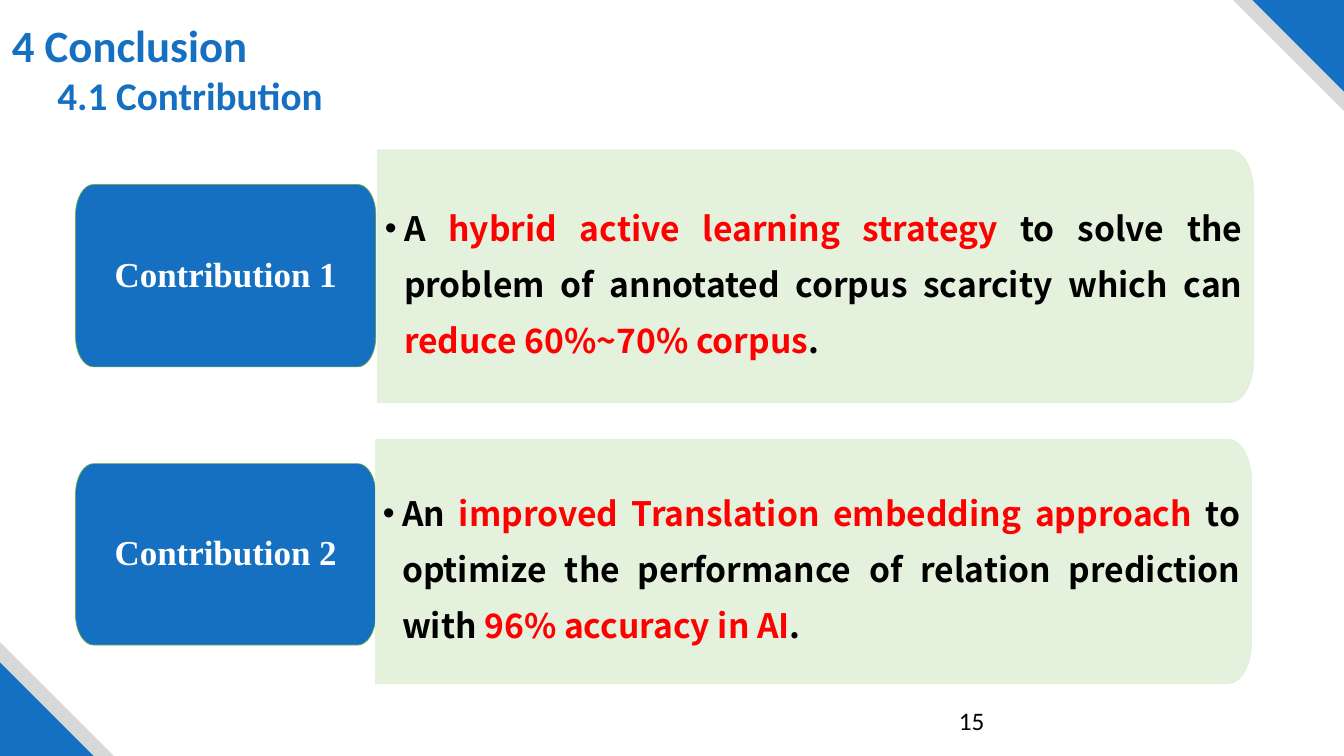
import pptx
import pptx.dml.color
import pptx.enum.shapes
import pptx.enum.text
import pptx.oxml
import pptx.oxml.ns
import pptx.util
from pptx.util import Inches, Pt

RGBColor = pptx.dml.color.RGBColor
MSO_SHAPE = pptx.enum.shapes.MSO_SHAPE
ALIGN = pptx.enum.text.PP_ALIGN
ANCHOR = pptx.enum.text.MSO_ANCHOR
AUTO_SIZE = pptx.enum.text.MSO_AUTO_SIZE
NAMESPACE = pptx.oxml.ns.nsdecls("a")

BLUE = RGBColor(0x15, 0x70, 0xC1)
GRAY = RGBColor(0xD7, 0xD8, 0xD8)
GREEN = RGBColor(0x70, 0xAD, 0x47)
PALE_GREEN = RGBColor(0xE2, 0xF0, 0xD9)
RED = RGBColor(0xFF, 0x00, 0x00)
BLACK = RGBColor(0x00, 0x00, 0x00)
WHITE = RGBColor(0xFF, 0xFF, 0xFF)

SLIDE_WIDTH, SLIDE_HEIGHT = 13.34, 7.5
BODY_FONT = "Noto Sans CJK SC"

# Label box, panel box, label, (text, colour) pieces
CONTRIBUTIONS = [
    ((0.75, 1.83, 2.98, 1.81), (3.75, 1.49, 8.69, 2.5), "Contribution 1", [
        ("A ", BLACK),
        ("hybrid active learning strategy ", RED),
        ("to solve the problem of annotated corpus scarcity which can ", BLACK),
        ("reduce 60%~70% corpus", RED),
        (".", BLACK),
    ]),
    ((0.75, 4.6, 2.98, 1.8), (3.73, 4.36, 8.69, 2.42), "Contribution 2", [
        ("An ", BLACK),
        ("improved Translation embedding approach ", RED),
        ("to optimize the performance of relation prediction with ", BLACK),
        ("96% accuracy in AI", RED),
        (".", BLACK),
    ]),
]


def set_format(target, formats):
    for attribute, value in formats.items():
        setattr(target, attribute, value)


def add_run(paragraph, text, font, size, color, bold=True):
    run = paragraph.add_run()
    run.text = text
    set_format(run.font, {"name": font, "size": Pt(size), "bold": bold})
    run.font.color.rgb = color


def add_heading(slide, box, text, size, color=BLUE, bold=True,
                auto_size=AUTO_SIZE.SHAPE_TO_FIT_TEXT):
    heading = slide.shapes.add_textbox(*map(Inches, box))
    set_format(heading.text_frame, {"word_wrap": True, "auto_size": auto_size})
    add_run(heading.text_frame.paragraphs[0], text, "Calibri", size, color, bold)


def add_corner(slide, right, top, sizes):
    """Stack triangles whose right angles share one slide corner."""
    for size, color in zip(sizes, (GRAY, BLUE)):
        left = SLIDE_WIDTH - size if right else 0
        upper = 0 if top else SLIDE_HEIGHT - size
        triangle = slide.shapes.add_shape(
            MSO_SHAPE.RIGHT_TRIANGLE, *map(Inches, (left, upper, size, size)))
        triangle.rotation = 180 if top else 0
        triangle.shadow.inherit = False
        triangle.fill.solid()
        triangle.fill.fore_color.rgb = color
        triangle.line.fill.background()


def add_rounded(slide, box, radii, left_rounded, fill, line, line_width):
    """Draw a box with elliptical corners, on the right only or on both sides."""
    left, top, width, height = box
    rx, ry = radii
    points, curve_starts = [], []
    # Corners clockwise from the top left
    for x_side, y_side in [(0, 0), (1, 0), (1, 1), (0, 1)]:
        x, y = left + x_side * width, top + y_side * height
        if x_side == 0 and not left_rounded:
            points.append((x, y))
            continue
        dx, dy = (1 - 2 * x_side) * rx, (1 - 2 * y_side) * ry
        corner = [(x, y + dy), (x, y + 0.45 * dy), (x + 0.45 * dx, y), (x + dx, y)]
        curve_starts.append(len(points))
        points += corner if x_side == y_side else corner[::-1]

    points = [(Inches(x), Inches(y)) for x, y in points]
    outline = slide.shapes.build_freeform(*points[0])
    outline.add_line_segments(points[1:], close=True)
    rounded = outline.convert_to_shape()

    # Turn the three segments of each rounded corner into one curve
    segments = list(rounded._element.iter(pptx.oxml.ns.qn("a:lnTo")))
    for start in curve_starts:
        curve = pptx.oxml.parse_xml(f"<a:cubicBezTo {NAMESPACE}/>")
        segments[start].addprevious(curve)
        for segment in segments[start:start + 3]:
            curve.append(segment[0])
            segment.getparent().remove(segment)

    rounded.shadow.inherit = False
    rounded.fill.solid()
    rounded.fill.fore_color.rgb = fill
    rounded.line.color.rgb = line
    rounded.line.width = Pt(line_width)
    return rounded


def set_frame(frame, left, top, right, bottom):
    set_format(frame, {
        "word_wrap": True, "vertical_anchor": ANCHOR.MIDDLE,
        "margin_left": Inches(left), "margin_top": Inches(top),
        "margin_right": Inches(right), "margin_bottom": Inches(bottom),
    })


def add_label(slide, box, text):
    label = add_rounded(slide, box, (0.18, 0.3), True, BLUE, GREEN, 0.5)
    set_frame(label.text_frame, 0.16, 0.1, 0.16, 0.1)
    paragraph = label.text_frame.paragraphs[0]
    set_format(paragraph, {"alignment": ALIGN.CENTER, "line_spacing": 0.9,
                           "space_after": Pt(10.9)})
    add_run(paragraph, text, "Times New Roman", 25, WHITE)


def add_panel(slide, box, pieces):
    panel = add_rounded(slide, box, (0.23, 0.41), False, PALE_GREEN, PALE_GREEN, 1)
    # Fill and outline at 90 % opacity
    for color in panel._element.spPr.iter(pptx.oxml.ns.qn("a:srgbClr")):
        color.append(pptx.oxml.parse_xml(f'<a:alpha {NAMESPACE} val="90000"/>'))

    set_frame(panel.text_frame, 0.07, 0.08, 0.11, 0.08)
    paragraph = panel.text_frame.paragraphs[0]
    # Bullet with hanging indent
    paragraph_properties = paragraph._p.get_or_add_pPr()
    paragraph_properties.set("marL", str(Inches(0.19)))
    paragraph_properties.set("indent", str(-Inches(0.19)))
    for bullet_part in (
            f'<a:buClr {NAMESPACE}><a:srgbClr val="{BLACK}"/></a:buClr>',
            f'<a:buFont {NAMESPACE} typeface="Arial"/>',
            f'<a:buChar {NAMESPACE} char="•"/>'):
        paragraph_properties.append(pptx.oxml.parse_xml(bullet_part))
    set_format(paragraph, {"level": 1, "alignment": ALIGN.JUSTIFY,
                           "line_spacing": Pt(40), "space_after": Pt(4.5)})
    for text, color in pieces:
        add_run(paragraph, text, BODY_FONT, 24, color)


def main():
    presentation = pptx.Presentation()
    set_format(presentation, {"slide_width": Inches(SLIDE_WIDTH),
                              "slide_height": Inches(SLIDE_HEIGHT)})
    slide = presentation.slides.add_slide(presentation.slide_layouts[6])

    # Corner decorations
    add_corner(slide, right=True, top=True, sizes=(1.1, 0.91))
    add_corner(slide, right=False, top=False, sizes=(1.13, 0.93))

    # Headings and page number
    add_heading(slide, (0.02, 0.13, 5.92, 0.64), "4 Conclusion", 32)
    add_heading(slide, (0.47, 0.66, 5.92, 0.57), "4.1 Contribution", 28)
    add_heading(slide, (9.42, 6.95, 3, 0.4), "15", 18, BLACK, False, AUTO_SIZE.NONE)

    # Contributions
    for label_box, panel_box, label, pieces in CONTRIBUTIONS:
        add_label(slide, label_box, label)
        add_panel(slide, panel_box, pieces)

    presentation.save("out.pptx")


if __name__ == "__main__":
    main()
